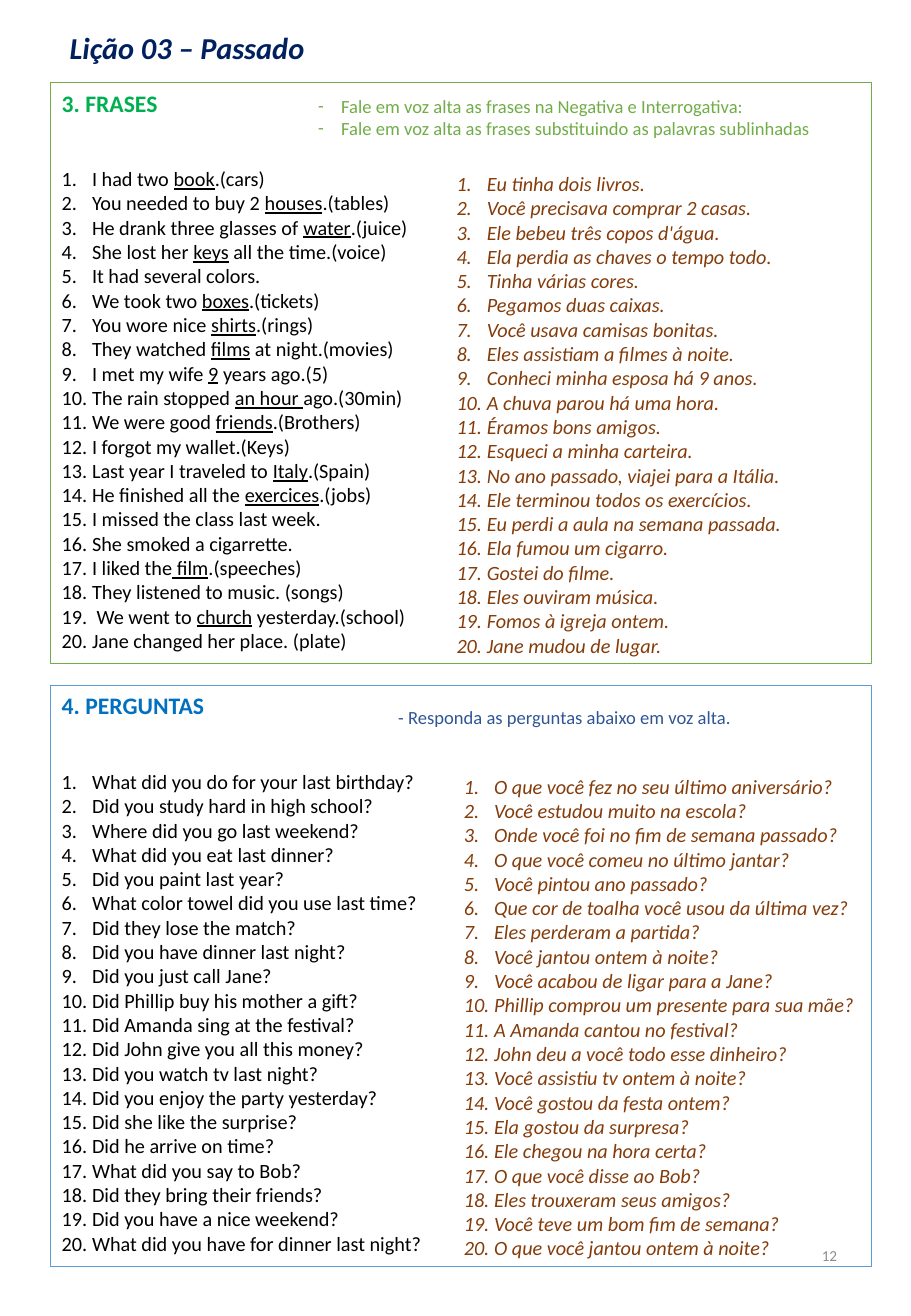
from lxml import etree
from pptx import Presentation
from pptx.dml.color import RGBColor
from pptx.enum.shapes import MSO_SHAPE
from pptx.enum.text import MSO_ANCHOR, MSO_AUTO_SIZE, PP_ALIGN
from pptx.oxml.ns import qn
from pptx.util import Pt

PX = 9144  # 100 px to the inch
FONT = "Calibri"
COLORS = {
    "title": "002060", "black": "000000", "translation": "843C0B", "page": "8C8C8C",
    "green_line": "70AD47", "green_heading": "00B050",
    "blue_line": "5B9BD5", "blue_heading": "0070C0", "blue_hint": "2F5597",
}

# Words between underscores are underlined
PHRASES = """I had two _book_.(cars)
You needed to buy 2 _houses_.(tables)
He drank three glasses of _water_.(juice)
She lost her _keys_ all the time.(voice)
It had several colors.
We took two _boxes_.(tickets)
You wore nice _shirts_.(rings)
They watched _films_ at night.(movies)
I met my wife _9_ years ago.(5)
The rain stopped _an hour _ago.(30min)
We were good _friends_.(Brothers)
I forgot my wallet.(Keys)
Last year I traveled to _Italy_.(Spain)
He finished all the _exercices_.(jobs)
I missed the class last week.
She smoked a cigarrette.
I liked the_ film_.(speeches)
They listened to music. (songs)
 We went to _church_ yesterday.(school)
Jane changed her place. (plate)"""

PHRASES_TRANSLATED = """Eu tinha dois livros.
Você precisava comprar 2 casas.
Ele bebeu três copos d'água.
Ela perdia as chaves o tempo todo.
Tinha várias cores.
Pegamos duas caixas.
Você usava camisas bonitas.
Eles assistiam a filmes à noite.
Conheci minha esposa há 9 anos.
A chuva parou há uma hora.
Éramos bons amigos.
Esqueci a minha carteira.
No ano passado, viajei para a Itália.
Ele terminou todos os exercícios.
Eu perdi a aula na semana passada.
Ela fumou um cigarro.
Gostei do filme.
Eles ouviram música.
Fomos à igreja ontem.
Jane mudou de lugar."""

QUESTIONS = """What did you do for your last birthday?
Did you study hard in high school?
Where did you go last weekend?
What did you eat last dinner?
Did you paint last year?
What color towel did you use last time?
Did they lose the match?
Did you have dinner last night?
Did you just call Jane?
Did Phillip buy his mother a gift?
Did Amanda sing at the festival?
Did John give you all this money?
Did you watch tv last night?
Did you enjoy the party yesterday?
Did she like the surprise?
Did he arrive on time?
What did you say to Bob?
Did they bring their friends?
Did you have a nice weekend?
What did you have for dinner last night?"""

QUESTIONS_TRANSLATED = """O que você fez no seu último aniversário?
Você estudou muito na escola?
Onde você foi no fim de semana passado?
O que você comeu no último jantar?
Você pintou ano passado?
Que cor de toalha você usou da última vez?
Eles perderam a partida?
Você jantou ontem à noite?
Você acabou de ligar para a Jane?
Phillip comprou um presente para sua mãe?
A Amanda cantou no festival?
John deu a você todo esse dinheiro?
Você assistiu tv ontem à noite?
Você gostou da festa ontem?
Ela gostou da surpresa?
Ele chegou na hora certa?
O que você disse ao Bob?
Eles trouxeram seus amigos?
Você teve um bom fim de semana?
O que você jantou ontem à noite?"""


def to_emu(*lengths):
    return [length * PX for length in lengths]


def add_bullet(paragraph, bullet, indent):
    properties = paragraph._p.get_or_add_pPr()
    properties.set("marL", str(indent * PX))
    properties.set("indent", str(-indent * PX))
    if bullet == "1.":
        etree.SubElement(properties, qn("a:buAutoNum"), type="arabicPeriod")
    else:
        etree.SubElement(properties, qn("a:buFont"), typeface=FONT)
        etree.SubElement(properties, qn("a:buChar"), char=bullet)


def write_text(frame, text, size, color, bold=False, italic=False, align=PP_ALIGN.LEFT,
               bullet=None, indent=25, gap=0, spacing=None):
    """Append one paragraph per line; gap is the space before the first one."""
    for index, line in enumerate(text.split("\n")):
        paragraph = frame.add_paragraph() if frame.text else frame.paragraphs[0]
        if bullet:
            add_bullet(paragraph, bullet, indent)
        paragraph.alignment = align
        if spacing:
            paragraph.line_spacing = spacing
        if gap and index == 0:
            paragraph.space_before = Pt(gap)
        for part, words in enumerate(line.split("_")):
            if not words:
                continue
            run = paragraph.add_run()
            run.text = words
            font = run.font
            font.name, font.size, font.bold, font.italic = FONT, Pt(size), bold, italic
            font.color.rgb = RGBColor.from_string(COLORS[color])
            if part % 2:
                font.underline = True


def add_text_box(slide, box, text, **text_format):
    frame = slide.shapes.add_textbox(*to_emu(*box)).text_frame
    frame.word_wrap = False
    frame.auto_size = MSO_AUTO_SIZE.SHAPE_TO_FIT_TEXT
    write_text(frame, text, **text_format)


def add_title(slide, box, text):
    title = slide.shapes.title
    title.left, title.top, title.width, title.height = to_emu(*box)
    frame = title.text_frame
    frame.word_wrap = False
    frame.auto_size = MSO_AUTO_SIZE.NONE
    frame.vertical_anchor = MSO_ANCHOR.TOP
    write_text(frame, text, size=18, color="title", bold=True, italic=True,
               align=PP_ALIGN.CENTER, spacing=1.07)


def add_exercise(slide, box, theme, heading, sentences, translation, translation_box,
                 hint, hint_box, hint_format):
    """A framed exercise; the inner boxes are relative to the frame."""
    left, top = box[:2]

    def inside(inner):
        return (left + inner[0], top + inner[1], *inner[2:])

    # Frame with heading and numbered sentences
    shape = slide.shapes.add_shape(MSO_SHAPE.RECTANGLE, *to_emu(*box))
    shape.shadow.inherit = False
    shape.fill.background()
    shape.line.color.rgb = RGBColor.from_string(COLORS[theme + "_line"])
    shape.line.width = Pt(0.25)
    frame = shape.text_frame
    frame.word_wrap = True
    frame.vertical_anchor = MSO_ANCHOR.TOP
    write_text(frame, heading, size=14, color=theme + "_heading", bold=True)
    write_text(frame, sentences, size=12, color="black", bullet="1.", gap=29.3)

    # Translation and instructions
    add_text_box(slide, inside(translation_box), translation, size=12,
                 color="translation", italic=True, bullet="1.")
    add_text_box(slide, inside(hint_box), hint, size=11, **hint_format)


def add_page_number(slide, box, number):
    frame = slide.shapes.add_textbox(*to_emu(*box)).text_frame
    frame.word_wrap = True
    frame.vertical_anchor = MSO_ANCHOR.MIDDLE
    write_text(frame, number, size=9, color="page", align=PP_ALIGN.RIGHT)


def main():
    presentation = Presentation()
    presentation.slide_width, presentation.slide_height = to_emu(750, 1083)
    slide = presentation.slides.add_slide(presentation.slide_layouts[5])

    add_title(slide, (43, 17, 222, 43), "Lição 03 – Passado")
    add_exercise(
        slide, (41, 68, 676, 478), "green", "3. FRASES",
        PHRASES, PHRASES_TRANSLATED, (325, 68, 288, 414),
        "Fale em voz alta as frases na Negativa e Interrogativa:\n"
        "Fale em voz alta as frases substituindo as palavras sublinhadas",
        (211, 5, 428, 47), {"color": "green_line", "bullet": "-", "indent": 19})
    add_exercise(
        slide, (41, 564, 676, 478), "blue", "4. PERGUNTAS",
        QUESTIONS, QUESTIONS_TRANSLATED, (331, 68, 344, 414),
        "- Responda as perguntas abaixo em voz alta.",
        (277, 12, 297, 29), {"color": "blue_hint"})
    add_page_number(slide, (530, 1004, 169, 58), "12")
    presentation.save("out.pptx")


if __name__ == "__main__":
    main()
